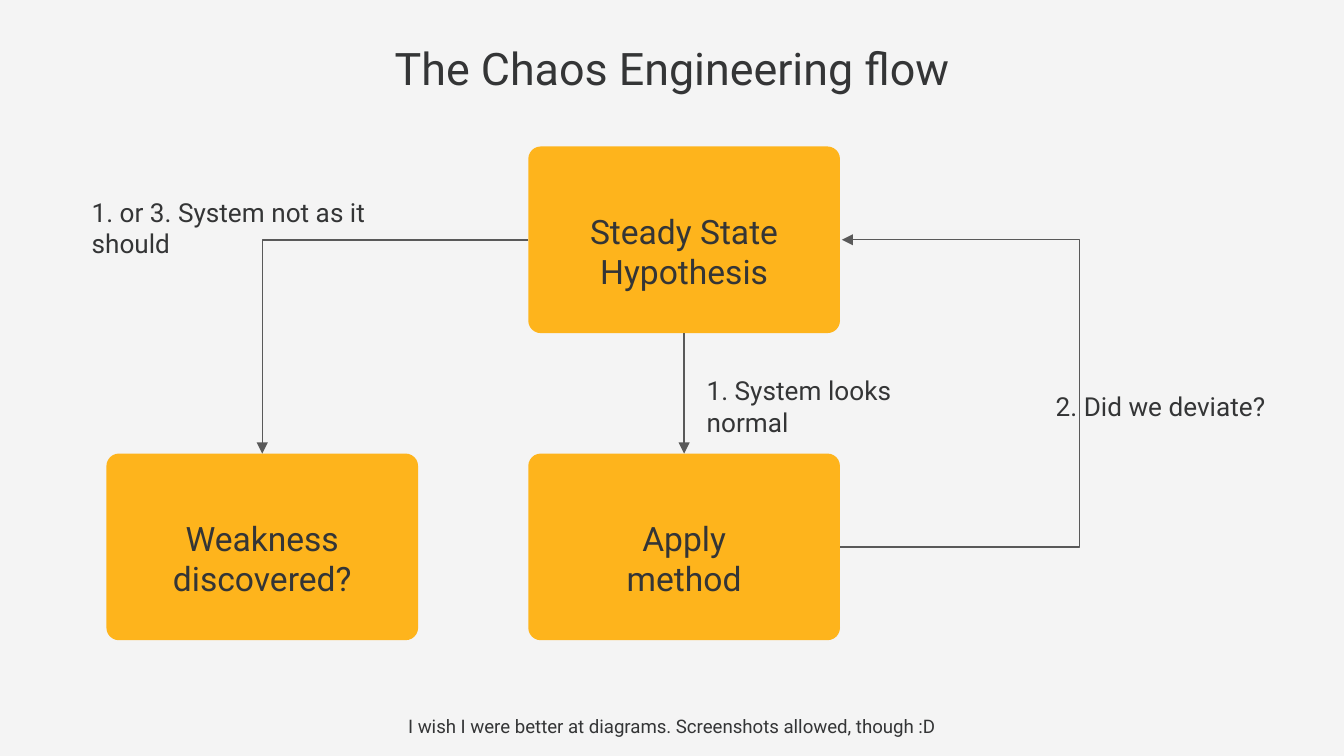
from pptx import Presentation
from pptx.dml.color import RGBColor
from pptx.enum.shapes import MSO_CONNECTOR as Link, MSO_SHAPE as Shape
from pptx.enum.text import MSO_ANCHOR as Anchor, PP_ALIGN as Align
from pptx.oxml.ns import qn
from pptx.util import Pt
from lxml.etree import SubElement

BACKGROUND = "F4F4F4"
AMBER = "FEB41C"
INK = "343536"
ARROW = "595959"
STEP_W, STEP_H = 167, 100
LEFT_COL, MID_COL = 57, 283
TOP_ROW, LOW_ROW = 78.5, 243
LOOP_REACH = 129.5


def color(hex_code):
    return RGBColor.from_string(hex_code)


def add_text(slide, text, left, top, width, height, size=14,
             align=Align.LEFT, anchor=Anchor.MIDDLE):
    frame = slide.shapes.add_textbox(Pt(left), Pt(top), Pt(width), Pt(height)).text_frame
    frame.word_wrap = True
    frame.vertical_anchor = anchor
    frame.margin_left = frame.margin_right = Pt(7.2)
    frame.margin_top = frame.margin_bottom = Pt(7.2)
    paragraph = frame.paragraphs[0]
    paragraph.text = text
    paragraph.alignment = align
    paragraph.space_after = Pt(16)
    for run in paragraph.runs:
        run.font.name = "Roboto"
        run.font.size = Pt(size)
        run.font.color.rgb = color(INK)


def add_step(slide, text, left, top, label_top):
    card = slide.shapes.add_shape(Shape.ROUNDED_RECTANGLE, Pt(left), Pt(top),
                                  Pt(STEP_W), Pt(STEP_H))
    card.adjustments[0] = 0.067
    card.shadow.inherit = False
    card.fill.solid()
    card.fill.fore_color.rgb = color(AMBER)
    card.line.fill.background()
    add_text(slide, text, left + 16, label_top, STEP_W - 32, 67, size=18, align=Align.CENTER)


def add_arrow(slide, start, end, kind=Link.STRAIGHT, preset=None, bend=None):
    arrow = slide.shapes.add_connector(kind, *map(Pt, start + end))
    arrow.line.color.rgb = color(ARROW)
    arrow.line.width = Pt(0.75)
    properties = arrow._element.spPr
    geometry = properties.find(qn("a:prstGeom"))
    if preset:
        geometry.set("prst", preset)
    if bend:
        guides = geometry.find(qn("a:avLst"))
        SubElement(guides, qn("a:gd"), name="adj1", fmla=f"val {round(bend * 100000)}")
    SubElement(properties.find(qn("a:ln")), qn("a:tailEnd"), type="triangle")
    SubElement(properties, qn("a:effectLst"))


def main():
    deck = Presentation()
    deck.slide_width, deck.slide_height = Pt(720), Pt(405)
    slide = deck.slides.add_slide(deck.slide_layouts[6])
    slide.background.fill.solid()
    slide.background.fill.fore_color.rgb = color(BACKGROUND)

    add_text(slide, "The Chaos Engineering flow", 24.5, 14.5, 671, 55.5,
             size=24, align=Align.CENTER, anchor=Anchor.TOP)
    add_step(slide, "Steady State\vHypothesis", MID_COL, TOP_ROW, 101)
    add_step(slide, "Apply\vmethod", MID_COL, LOW_ROW, 265.5)
    add_step(slide, "Weakness\vdiscovered?", LEFT_COL, LOW_ROW, 265.5)

    center = MID_COL + STEP_W / 2
    right = MID_COL + STEP_W
    top_middle = TOP_ROW + STEP_H / 2
    low_middle = LOW_ROW + STEP_H / 2
    add_arrow(slide, (center, TOP_ROW + STEP_H), (center, LOW_ROW))
    add_arrow(slide, (MID_COL, top_middle), (LEFT_COL + STEP_W / 2, LOW_ROW),
              kind=Link.ELBOW, preset="bentConnector2")
    add_arrow(slide, (right, low_middle), (right + 1, top_middle),
              kind=Link.ELBOW, bend=LOOP_REACH)

    add_text(slide, "1. System looks normal", 371.5, 203, 149, 29)
    add_text(slide, "2. Did we deviate?", 558.5, 203, 149, 29)
    add_text(slide, "1. or 3. System not as it should", 42, 107.5, 197, 29)
    add_text(slide, "I wish I were better at diagrams. Screenshots allowed, though :D",
             147, 378, 425.5, 21.5, size=10, align=Align.CENTER)
    deck.save("out.pptx")


if __name__ == "__main__":
    main()
